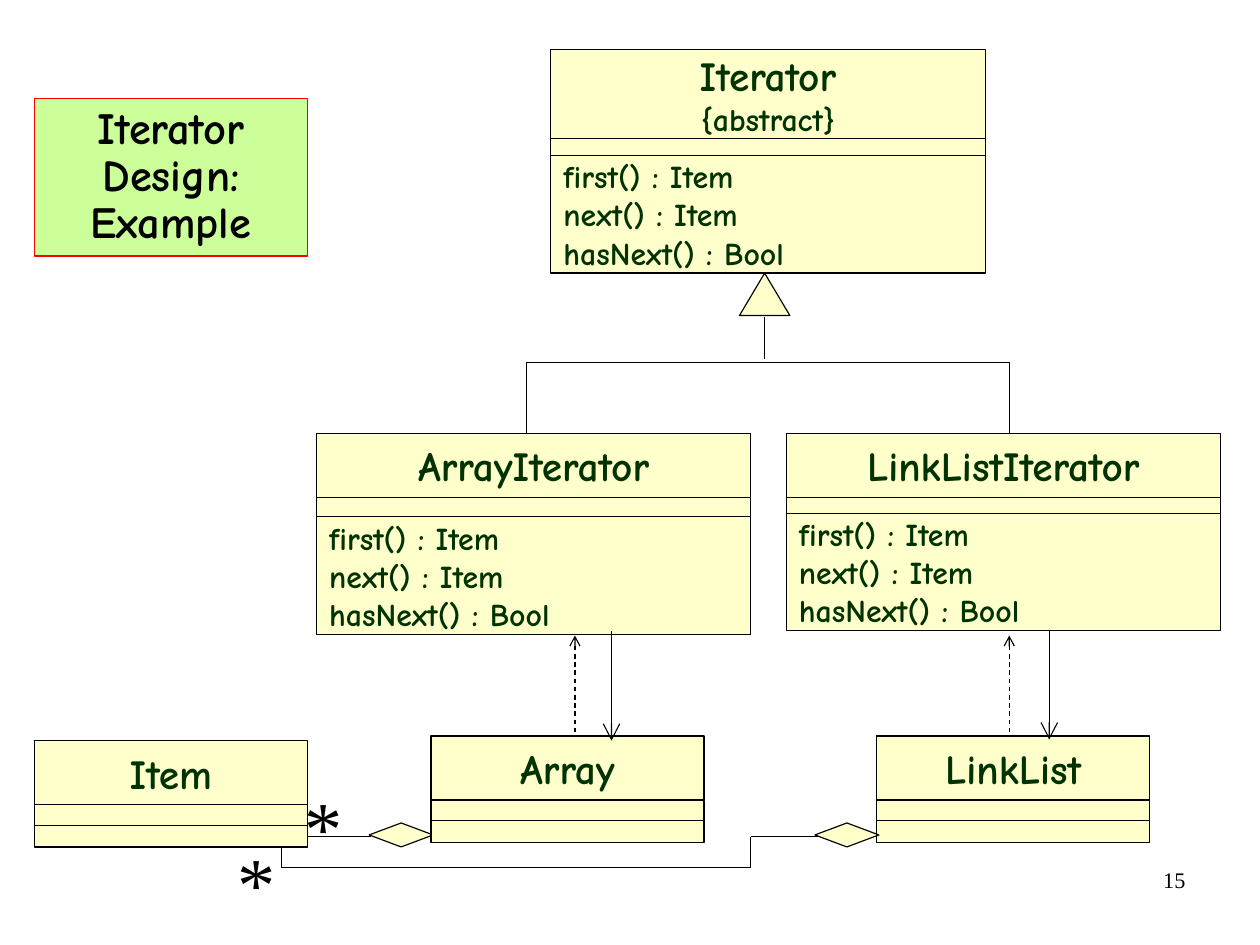
"""Build a class diagram slide showing the Iterator design pattern."""
from lxml import etree
from pptx import Presentation
from pptx.dml.color import RGBColor
from pptx.enum import dml, shapes, text
from pptx.oxml import ns
from pptx.util import Inches, Pt

BLACK = RGBColor(0x00, 0x00, 0x00)
RED = RGBColor(0xFF, 0x00, 0x00)
CREAM = RGBColor(0xFF, 0xFF, 0xCC)
LIME = RGBColor(0xCC, 0xFF, 0x99)
DARK_GREEN = RGBColor(0x00, 0x33, 0x00)
METHODS = [("first() : Item", 20), ("next() : Item", 20), ("hasNext() : Bool", 20)]
LEFT, CENTER, RIGHT = text.PP_ALIGN.LEFT, text.PP_ALIGN.CENTER, text.PP_ALIGN.RIGHT
PRESET = shapes.MSO_SHAPE

presentation = Presentation()
presentation.slide_width, presentation.slide_height = Inches(28 / 2.54), Inches(21 / 2.54)
slide = presentation.slides.add_slide(presentation.slide_layouts[6])


def add_box(left, top, width, height, lines=(), align=CENTER, preset=PRESET.RECTANGLE):
    """Add a cream shape holding (wording, size) lines."""
    shape = slide.shapes.add_shape(preset, Inches(left), Inches(top), Inches(width), Inches(height))
    shape.shadow.inherit = False
    shape.fill.solid()
    shape.fill.fore_color.rgb = CREAM
    shape.line.color.rgb = BLACK
    shape.line.width = Pt(0.75)
    frame = shape.text_frame
    frame.word_wrap = True
    frame.vertical_anchor = text.MSO_ANCHOR.MIDDLE
    frame.margin_left = frame.margin_right = Inches(0.11)
    frame.margin_top = frame.margin_bottom = Inches(0.06)
    frame.text = "\n".join(wording for wording, size in lines)
    for paragraph, (wording, size) in zip(frame.paragraphs, lines):
        paragraph.alignment = align
        for run in paragraph.runs:
            run.font.name, run.font.size, run.font.bold = "Comic Neue", Pt(size), True
            run.font.color.rgb = DARK_GREEN
    return shape


def add_line(start, end, arrow_end=None, arrow_size="med", dashed=False):
    """Add a thin black line, with an open arrowhead at the named end."""
    connector = slide.shapes.add_connector(
        shapes.MSO_CONNECTOR.STRAIGHT, *(Inches(value) for value in start + end))
    connector.line.color.rgb = BLACK
    connector.line.width = Pt(0.75)
    if dashed:
        connector.line.dash_style = dml.MSO_LINE.DASH
    if arrow_end:
        etree.SubElement(connector.line._get_or_add_ln(), ns.qn(arrow_end),
                         type="arrow", w=arrow_size, len=arrow_size)
    etree.SubElement(connector._element.spPr, ns.qn("a:effectLst"))
    return connector


title = add_box(0.3, 0.86, 2.39, 1.38, [("Iterator\vDesign: Example", 28)])
title.fill.fore_color.rgb = LIME
title.line.color.rgb = RED
title_frame = title.text_frame
title_frame.margin_left = title_frame.margin_right = 0
title_frame.margin_top = title_frame.margin_bottom = 0
title_frame.paragraphs[0].line_spacing = 0.88
for run in title_frame.paragraphs[0].runs:
    run.font.color.rgb = BLACK

add_box(4.82, 0.43, 3.8, 0.78, [("Iterator", 26), ("{abstract}", 20)])
add_box(4.82, 1.21, 3.8, 0.19)
add_box(4.82, 1.36, 3.8, 1.03, METHODS, LEFT)

for name, left, methods_top in [("LinkListIterator", 6.88, 4.49), ("ArrayIterator", 2.77, 4.52)]:
    add_box(left, 3.79, 3.8, 0.56, [(name, 26)])
    for row_top in (4.35, 4.53):
        add_box(left, row_top, 3.8, 0.19)
    add_box(left, methods_top, 3.8, 1.03, METHODS, LEFT)

add_box(6.47, 2.39, 0.44, 0.37, preset=PRESET.ISOSCELES_TRIANGLE)
add_line((6.69, 2.77), (6.69, 3.14))
add_line((4.61, 3.17), (8.83, 3.17))
for x in (4.61, 8.83):
    add_line((x, 3.79), (x, 3.17))

add_box(3.23, 7.2, 0.56, 0.21, preset=PRESET.DIAMOND)
bottom_rows = {}
for name, left, top in [("Array", 3.77, 6.44), ("LinkList", 7.67, 6.44), ("Item", 0.3, 6.48)]:
    add_box(left, top, 2.39, 0.56, [(name, 26)])
    add_box(left, top + 0.56, 2.39, 0.19)
    bottom_rows[name] = add_box(left, top + 0.74, 2.39, 0.19)
add_box(7.13, 7.2, 0.56, 0.21, preset=PRESET.DIAMOND)

array_to_item = add_line((3.25, 7.31), (2.69, 7.31))
array_to_item.end_connect(bottom_rows["Item"], 3)
array_to_item.begin_y = array_to_item.end_y
list_to_item = [(7.16, 7.32), (6.57, 7.32), (6.57, 7.59), (2.46, 7.59), (2.46, 7.41)]
for start, end in zip(list_to_item, list_to_item[1:]):
    add_line(start, end)

for x in (5.03, 8.83):
    add_line((x, 5.56), (x, 6.44), "a:headEnd", dashed=True)
for x, top in [(5.35, 5.52), (9.18, 5.51)]:
    add_line((x, top), (x, top + 0.96), "a:tailEnd", "lg")

labels = [
    ("*", 2.57, 6.77, 0.46, 0.91, 48, LEFT),
    ("*", 1.98, 7.26, 0.46, 0.91, 48, LEFT),
    ("15", 7.9, 7.53, 2.57, 0.57, 14, RIGHT),
]
for wording, left, top, width, height, size, align in labels:
    label = slide.shapes.add_textbox(Inches(left), Inches(top), Inches(width), Inches(height))
    label.text_frame.word_wrap = True
    label.text_frame.text = wording
    paragraph = label.text_frame.paragraphs[0]
    paragraph.alignment = align
    font = paragraph.runs[0].font
    font.name, font.size = "Times New Roman", Pt(size)
    font.color.rgb = BLACK

presentation.save("out.pptx")
